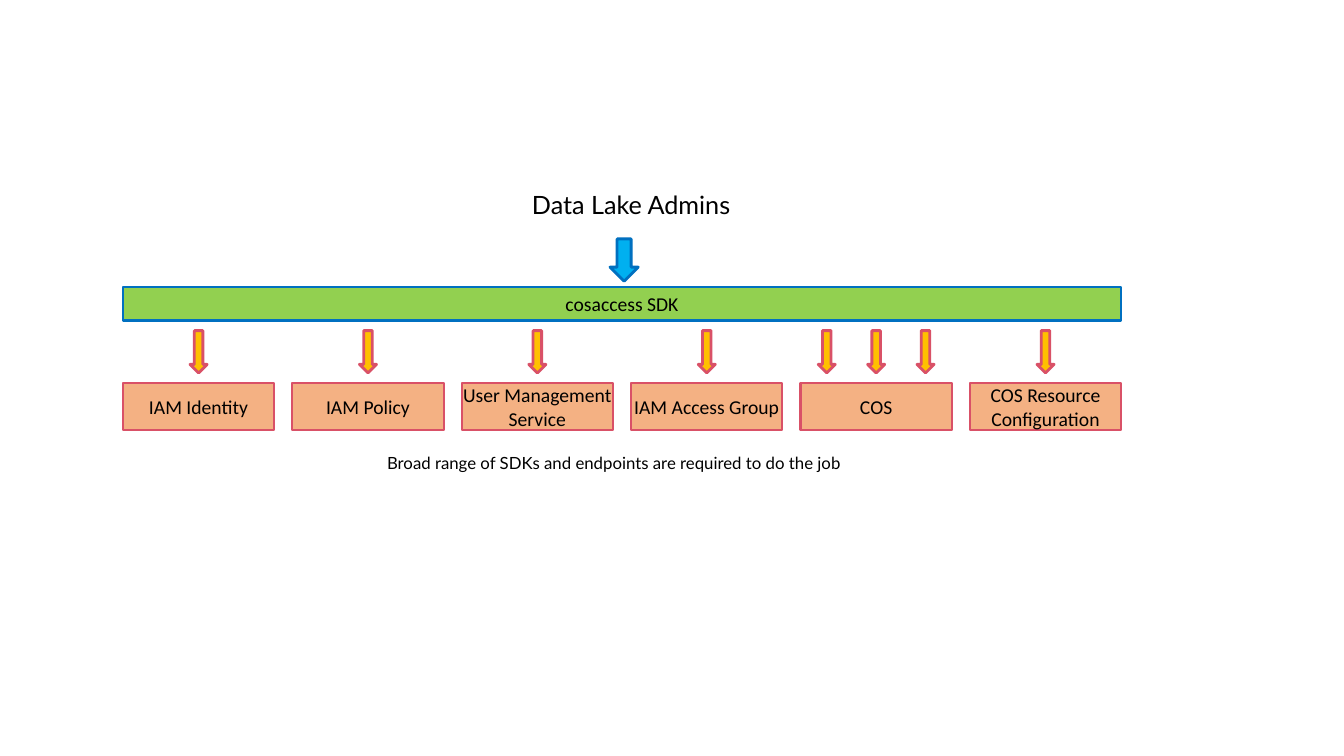
from dataclasses import dataclass

from pptx import Presentation
from pptx.dml.color import RGBColor
from pptx.enum.shapes import MSO_SHAPE
from pptx.enum.text import MSO_ANCHOR, MSO_AUTO_SIZE, PP_ALIGN
from pptx.util import Inches, Pt


@dataclass(frozen=True)
class Theme:
    """Colours, fonts and sizes in points."""
    text: str = "000000"
    sdk_fill: str = "92D050"
    service_fill: str = "F4B183"
    admin_arrow: str = "00B0F0"
    service_arrow: str = "FFC000"
    blue_line: str = "0070C0"
    red_line: str = "D95167"
    label_font: str = "Lato"
    box_font: str = "Calibri"
    title_size: int = 18
    box_size: int = 14
    caption_size: int = 12
    box_line: float = 1.5
    arrow_line: float = 2


THEME = Theme()

# Grid in inches: six service columns under one full-width bar
LEFT, COLUMN_WIDTH, GAP = 1.22, 1.5, 0.18
PITCH = COLUMN_WIDTH + GAP
ADMIN_ARROW_TOP, SDK_TOP, SERVICE_ARROW_TOP, SERVICE_TOP = 2.37, 2.85, 3.28, 3.8
SDK_HEIGHT, SERVICE_HEIGHT, ARROW_HEIGHT = 0.33, 0.47, 0.42
ADMIN_ARROW_CENTER, ARROW_STEP = 6.19, 0.49

# Each service with its number of arrows
SERVICES = [
    ("IAM Identity", 1),
    ("IAM Policy", 1),
    ("User Management Service", 1),
    ("IAM Access Group", 1),
    ("COS", 3),
    ("COS Resource Configuration", 1),
]


def place(shape, left, top, width, height):
    """Move and size a shape, in inches."""
    shape.left, shape.top = Inches(left), Inches(top)
    shape.width, shape.height = Inches(width), Inches(height)


def write(shape, text, *, font, size, anchor=MSO_ANCHOR.MIDDLE, grow=False):
    """Put centred, wrapped text into a shape."""
    frame = shape.text_frame
    frame.text = text
    frame.word_wrap = True
    frame.vertical_anchor = anchor
    frame.auto_size = MSO_AUTO_SIZE.SHAPE_TO_FIT_TEXT if grow else MSO_AUTO_SIZE.NONE
    paragraph = frame.paragraphs[0]
    paragraph.alignment = PP_ALIGN.CENTER
    run_font = paragraph.runs[0].font
    run_font.name, run_font.size = font, Pt(size)
    run_font.color.rgb = RGBColor.from_string(THEME.text)


def add_figure(slide, preset, left, top, width, height, *, fill, line, weight):
    """Add a flat preset shape with fill and outline."""
    shape = slide.shapes.add_shape(
        preset, Inches(left), Inches(top), Inches(width), Inches(height))
    shape.shadow.inherit = False
    shape.fill.solid()
    shape.fill.fore_color.rgb = RGBColor.from_string(fill)
    shape.line.color.rgb = RGBColor.from_string(line)
    shape.line.width = Pt(weight)
    return shape


def add_box(slide, text, left, top, width, height, *, fill, line):
    """Add a labelled box without side margins."""
    box = add_figure(slide, MSO_SHAPE.ROUNDED_RECTANGLE, left, top, width, height,
                     fill=fill, line=line, weight=THEME.box_line)
    box.adjustments[0] = 0
    box.text_frame.margin_left = box.text_frame.margin_right = 0
    write(box, text, font=THEME.box_font, size=THEME.box_size)


def add_arrow(slide, center, top, width, *, fill, line):
    """Add a downward block arrow centred on a horizontal position."""
    add_figure(slide, MSO_SHAPE.DOWN_ARROW, center - width / 2, top, width,
               ARROW_HEIGHT, fill=fill, line=line, weight=THEME.arrow_line)


def add_service(slide, column, name, arrow_count):
    """Add one service box with its evenly spaced arrows."""
    left = LEFT + column * PITCH
    add_box(slide, name, left, SERVICE_TOP, COLUMN_WIDTH, SERVICE_HEIGHT,
            fill=THEME.service_fill, line=THEME.red_line)
    for index in range(arrow_count):
        offset = (index - (arrow_count - 1) / 2) * ARROW_STEP
        add_arrow(slide, left + COLUMN_WIDTH / 2 + offset, SERVICE_ARROW_TOP, 0.17,
                  fill=THEME.service_arrow, line=THEME.red_line)


def main():
    """Build the slide and save it."""
    presentation = Presentation()
    presentation.slide_width, presentation.slide_height = Inches(13.33), Inches(7.5)
    slide = presentation.slides.add_slide(presentation.slide_layouts[5])

    title = slide.shapes.title
    place(title, 4.69, 1.83, 3.14, 0.4)
    write(title, "Data Lake Admins", font=THEME.label_font, size=THEME.title_size,
          anchor=MSO_ANCHOR.TOP, grow=True)

    add_arrow(slide, ADMIN_ARROW_CENTER, ADMIN_ARROW_TOP, 0.28,
              fill=THEME.admin_arrow, line=THEME.blue_line)
    add_box(slide, "cosaccess SDK", LEFT, SDK_TOP, len(SERVICES) * PITCH - GAP,
            SDK_HEIGHT, fill=THEME.sdk_fill, line=THEME.blue_line)
    for column, (name, arrow_count) in enumerate(SERVICES):
        add_service(slide, column, name, arrow_count)

    caption = slide.shapes.add_textbox(0, 0, 0, 0)
    place(caption, 3.58, 4.44, 5.02, 0.3)
    write(caption, "Broad range of SDKs and endpoints are required to do the job",
          font=THEME.label_font, size=THEME.caption_size,
          anchor=MSO_ANCHOR.TOP, grow=True)

    presentation.save("out.pptx")


main()
